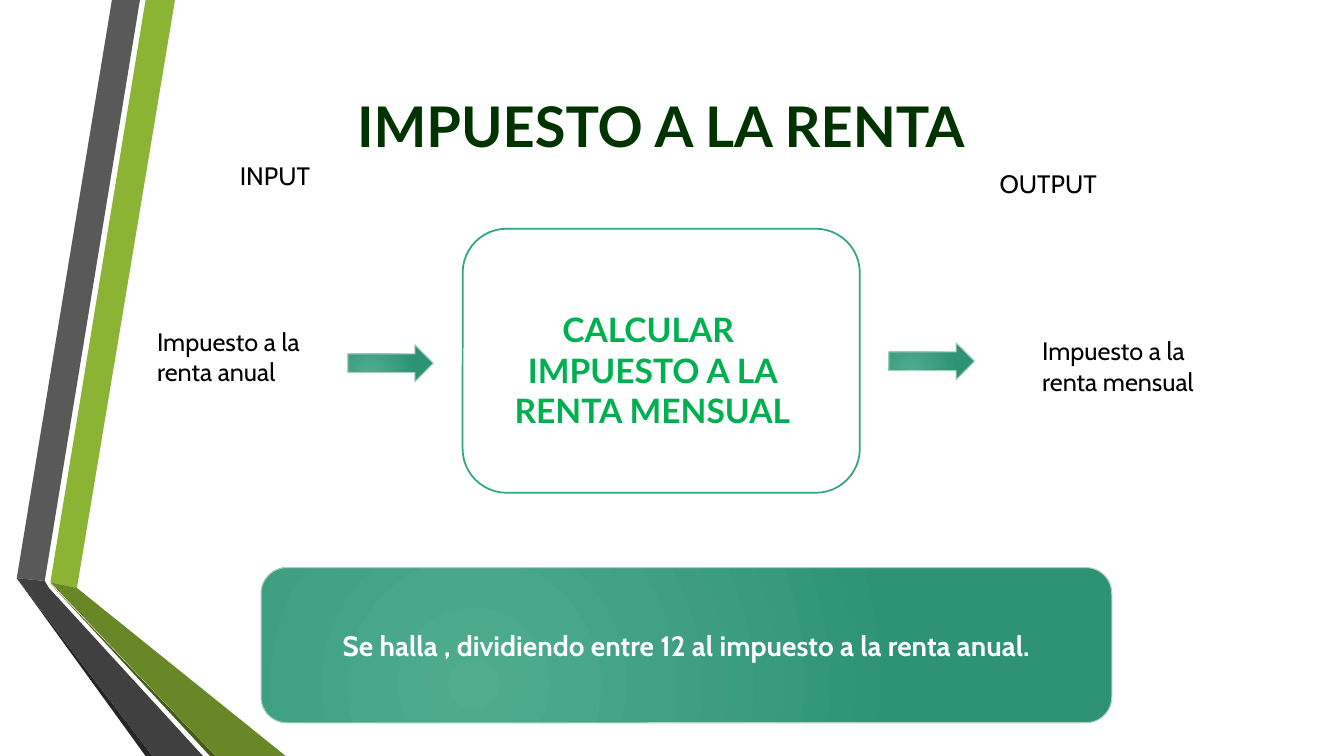
"""Build the income tax slide: input, calculation, output and the rule behind it."""
from lxml import etree
from pptx import Presentation
from pptx.dml.color import RGBColor
from pptx.enum import shapes as kinds, text as t
from pptx.oxml import ns
from pptx.util import Pt

WHITE, BLACK = RGBColor(255, 255, 255), RGBColor(0, 0, 0)
TITLE_GREEN, CALC_GREEN = RGBColor(0, 0x33, 0), RGBColor(0, 0xB0, 0x50)
FRAME_GREEN, EDGE_GREEN = RGBColor(0x33, 0xA5, 0x83), RGBColor(0xAE, 0xCF, 0xC1)
GLOW = RGBColor(0x4F, 0xAD, 0x8E), RGBColor(0x2D, 0x93, 0x74)

RIBBONS = [
    (RGBColor(0x8B, 0xB4, 0x33 + 1), [(36, 416.2), (55.4, 419.8), (124.6, 0), (104.4, 0)]),
    (RGBColor(0x59, 0x59, 0x59), [(100, 0), (79.9, 0), (11.5, 412.6), (31.7, 415.4)]),
    (RGBColor(0x26, 0x26, 0x26), [(11.5, 412.6), (104.4, 540), (108.7, 540)]),
    (RGBColor(0x46, 0x5A, 0x1A), [(36, 416.9), (149.8, 540), (154, 540)]),
    (RGBColor(0x68, 0x87, 0x27), [(36, 416.4), (154, 540), (203.8, 540), (55.4, 419.8)]),
    (RGBColor(0x40, 0x40, 0x40),
     [(145.4, 540), (34.6, 419.8), (31.7, 415.4), (11.5, 412.6), (108.7, 540)]),
]
CALC_FRAME = (330.5, 163.4, 283.7, 188.6)
RULE_BOX = (186.5, 405.4, 607.7, 110.9)
RULE = "Se halla , dividiendo entre 12 al impuesto a la renta anual."
ARROWS = [(248.4, 246.2), (635, 244.8)]
ARROW_SIZE = (61.2, 26.6)
CALC = (["CALCULAR ", "IMPUESTO A LA RENTA MENSUAL"], (351.4, 217.4, 229, 94.3))
TITLE = (["IMPUESTO A LA RENTA"], (143.3, 61.9, 657.4, 55.4))
LABELS = [
    (["Impuesto a la renta mensual"], (737.3, 236.2, 126, 51.1)),
    (["OUTPUT"], (707, 116.6, 132.5, 28.8)),
    (["INPUT"], (164.2, 110.9, 132.5, 28.8)),
    (["Impuesto a la renta anual"], (105.1, 229.7, 132.5, 51.1)),
]

deck = Presentation()
deck.slide_width, deck.slide_height = Pt(960), Pt(540)
slide = deck.slides.add_slide(deck.slide_layouts[6])


def write(frame, lines, face, size, color, bold=False, align=t.PP_ALIGN.CENTER):
    frame.word_wrap = True
    for number, line in enumerate(lines):
        paragraph = frame.add_paragraph() if number else frame.paragraphs[0]
        paragraph.text, paragraph.alignment = line, align
        font = paragraph.font
        font.name, font.size, font.bold = face, Pt(size), bold
        font.color.rgb = color


def add_text(lines, place, *style):
    frame = slide.shapes.add_textbox(*map(Pt, place)).text_frame
    write(frame, lines, *style)
    frame.auto_size = t.MSO_AUTO_SIZE.SHAPE_TO_FIT_TEXT
    return frame


def add_box(kind, place, line_color, line_width):
    box = slide.shapes.add_shape(kind, *map(Pt, place))
    box.shadow.inherit = False
    box.line.color.rgb, box.line.width = line_color, Pt(line_width)
    return box


def add_glowing(kind, place):
    box = add_box(kind, place, EDGE_GREEN, 0.75)
    box.fill.gradient()
    for stop, color, position in zip(box.fill.gradient_stops, GLOW, (0, 1)):
        stop.color.rgb, stop.position = color, position
    linear = box.element.spPr.find(".//" + ns.qn("a:lin"))
    radial = etree.Element(ns.qn("a:path"), path="circle")
    etree.SubElement(radial, ns.qn("a:fillToRect"), l="50000", t="100000", r="100000", b="50000")
    linear.getparent().replace(linear, radial)
    return box


def outline_letters(frame, color, width):
    for paragraph in frame.paragraphs:
        for run in paragraph.runs:
            line = etree.Element(ns.qn("a:ln"), w=str(Pt(width)))
            fill = etree.SubElement(line, ns.qn("a:solidFill"))
            etree.SubElement(fill, ns.qn("a:srgbClr"), val=str(color))
            run.font._element.insert(0, line)


for color, (start, *rest) in RIBBONS:
    builder = slide.shapes.build_freeform(*start, scale=Pt(1))
    builder.add_line_segments(rest, close=True)
    ribbon = builder.convert_to_shape()
    ribbon.shadow.inherit = False
    ribbon.fill.solid()
    ribbon.fill.fore_color.rgb = color
    ribbon.line.fill.background()

frame_box = add_box(kinds.MSO_SHAPE.ROUNDED_RECTANGLE, CALC_FRAME, FRAME_GREEN, 1.25)
frame_box.fill.solid()
frame_box.fill.fore_color.rgb = WHITE
outline_letters(add_text(*CALC, "Lato", 24, CALC_GREEN, True), CALC_GREEN, 0.75)

for corner in ARROWS:
    add_glowing(kinds.MSO_SHAPE.RIGHT_ARROW, corner + ARROW_SIZE)

rule_frame = add_glowing(kinds.MSO_SHAPE.ROUNDED_RECTANGLE, RULE_BOX).text_frame
rule_frame.vertical_anchor = t.MSO_ANCHOR.MIDDLE
write(rule_frame, [RULE], "Cabin", 20, WHITE, True)

add_text(*TITLE, "Lato", 40, TITLE_GREEN, True)
for lines, place in LABELS:
    add_text(lines, place, "Cabin", 18, BLACK, False, t.PP_ALIGN.LEFT)

deck.save("out.pptx")
